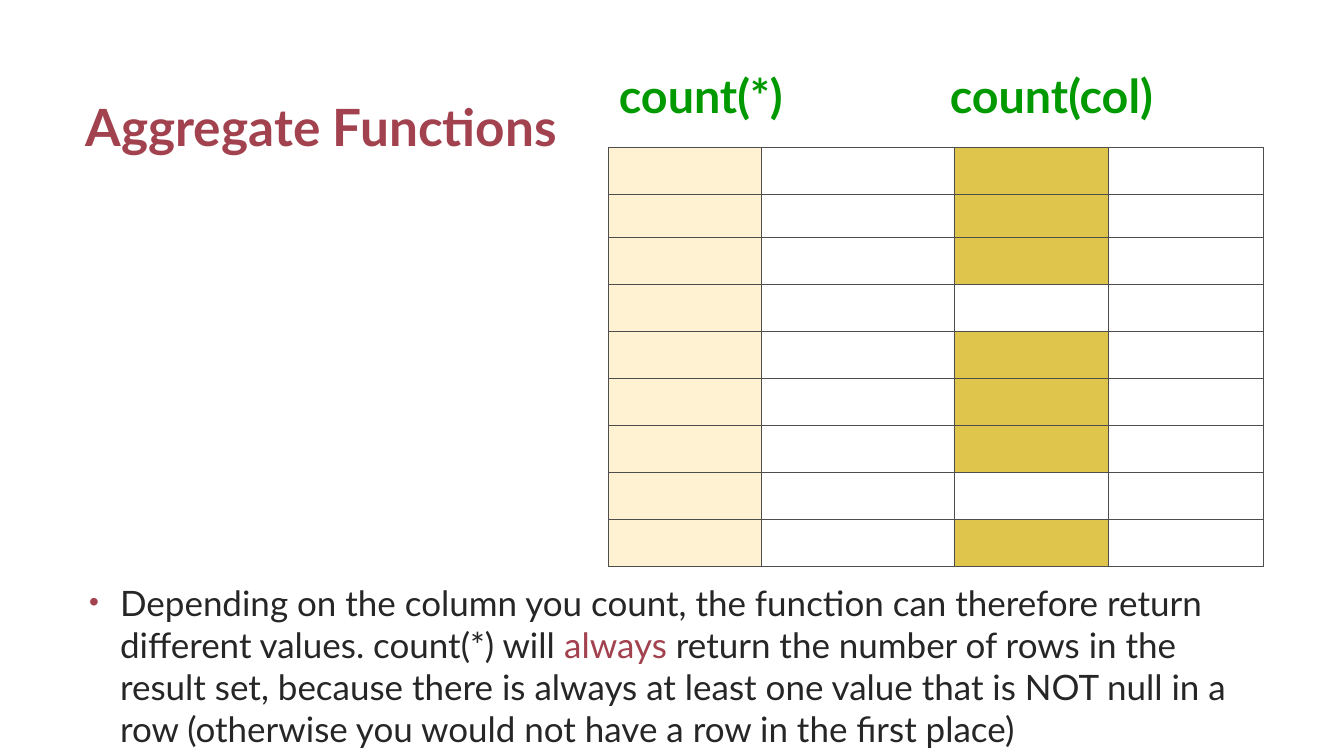
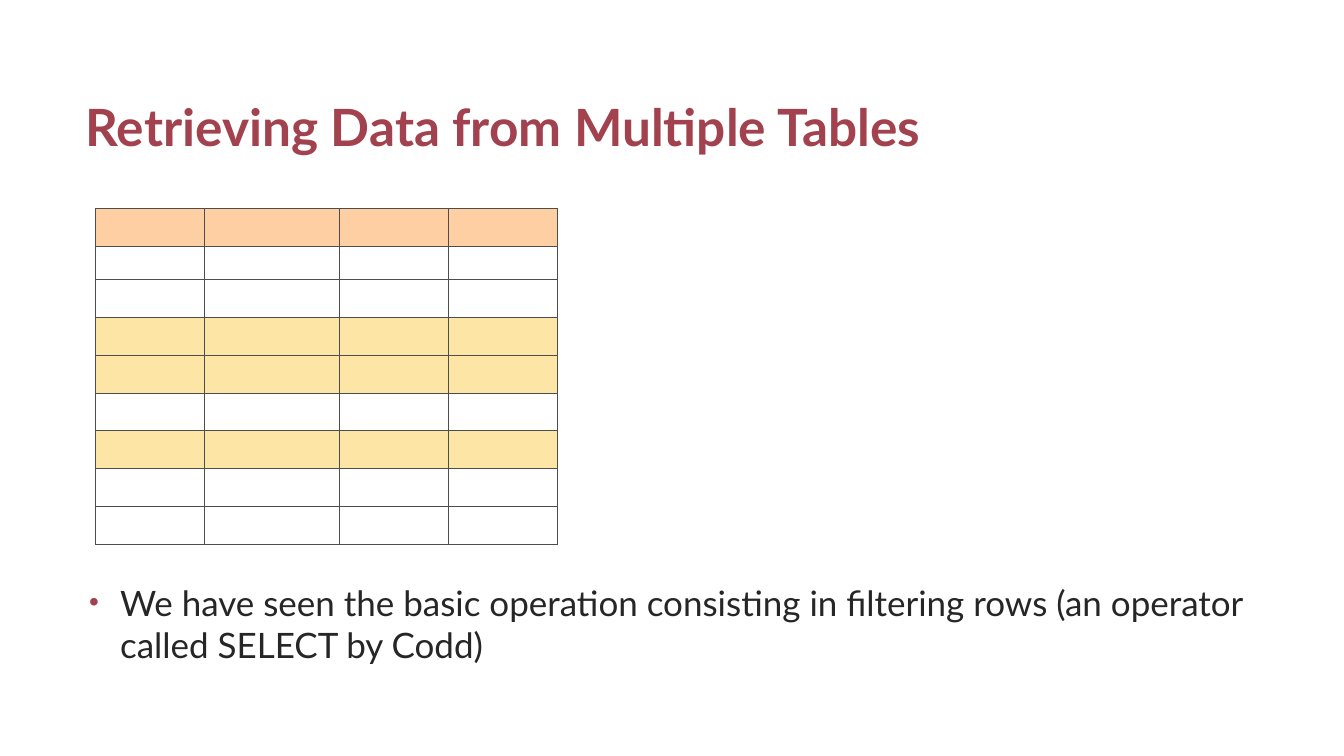
"""Build two slides on counting and filtering rows."""
from lxml.etree import SubElement as Sub
from pptx import Presentation as Pres
from pptx.dml.color import RGBColor as Rgb
from pptx.enum.text import MSO_ANCHOR as Anchor, MSO_AUTO_SIZE as Auto, PP_ALIGN as Align
from pptx.oxml.ns import qn
from pptx.util import Inches, Pt

HUES = {"red": "A2424F", "ink": "262626", "green": "009900", "line": "4D4D4D",
        "white": "FFFFFF", "cream": "FEF2D2", "gold": "E0C54C",
        "peach": "FDCFA2", "sand": "FDE6A5"}


def fit(item, **vals):
    """Set each named value on an item."""
    for name, val in vals.items():
        setattr(item, name, val)


def area(*nums):
    """Turn left, top, width and height into a dict of lengths."""
    return dict(zip(("left", "top", "width", "height"), map(Inches, nums)))


class Deck:
    """Hold the style and the current slide."""

    font = "Lato"
    looks = {"title": dict(size=Pt(44), bold=True),
             "label": dict(size=Pt(40), bold=True),
             "body": dict(size=Pt(30), bold=False)}

    def __init__(self):
        """Start a wide deck."""
        self.pres = Pres()
        fit(self.pres, slide_width=Inches(16), slide_height=Inches(9))
        self.slide = None

    def words(self, para, text, look, hue):
        """Add one styled run."""
        run = para.add_run()
        run.text = text
        fit(run.font, name=self.font, **self.looks[look])
        run.font.color.rgb = Rgb.from_string(HUES[hue])

    def box(self, *nums):
        """Add a wrapping text box and return its frame."""
        frame = self.slide.shapes.add_textbox(**area(*nums)).text_frame
        frame.word_wrap = True
        return frame

    def page(self, title):
        """Add a slide with its title."""
        self.slide = self.pres.slides.add_slide(self.pres.slide_layouts[5])
        head = self.slide.shapes.title
        fit(head, **area(0.92, 0.36, 14.17, 1.56))
        fit(head.text_frame, vertical_anchor=Anchor.BOTTOM, auto_size=Auto.NONE, word_wrap=True)
        para = head.text_frame.paragraphs[0]
        para.alignment = Align.LEFT
        self.words(para, title, "title", "red")

    def label(self, text, left, width):
        """Add a green label over a column."""
        frame = self.box(left, 0.75, width, 0.77)
        self.words(frame.paragraphs[0], text, "label", "green")

    def point(self, *parts):
        """Add the bullet point below the table."""
        frame = self.box(0.92, 6.85, 14.17, 2.14)
        fit(frame, margin_left=Inches(0.14), margin_right=Inches(0.14),
            margin_top=Inches(0.07), margin_bottom=Inches(0.07))
        para = frame.paragraphs[0]
        prop = para._p.get_or_add_pPr()
        prop.set("marL", str(Inches(0.37)))
        prop.set("indent", str(-Inches(0.37)))
        Sub(Sub(prop, qn("a:buClr")), qn("a:srgbClr"), val=HUES["red"])
        Sub(prop, qn("a:buSzPct"), val="80000")
        Sub(prop, qn("a:buFont"), typeface="Arial")
        Sub(prop, qn("a:buChar"), char="•")
        for text, hue in parts:
            self.words(para, text, "body", hue)

    def cell(self, cell, hue):
        """Fill and outline one cell."""
        fit(cell, margin_top=0, margin_bottom=0)
        prop = cell._tc.get_or_add_tcPr()
        for side in "LRTB":
            line = Sub(prop, qn(f"a:ln{side}"), w=str(Pt(1)))
            Sub(Sub(line, qn("a:solidFill")), qn("a:srgbClr"), val=HUES["line"])
        cell.fill.solid()
        cell.fill.fore_color.rgb = Rgb.from_string(HUES[hue])

    def grid(self, left, top, cols, rows, pick):
        """Add an empty table coloured by a rule."""
        shape = self.slide.shapes.add_table(
            len(rows), len(cols), **area(left, top, sum(cols), sum(rows)))
        table = shape.table
        for col, size in zip(table.columns, cols):
            col.width = Inches(size)
        for row, size in zip(table.rows, rows):
            row.height = Inches(size)
        for y in range(len(rows)):
            for x in range(len(cols)):
                self.cell(table.cell(y, x), pick(y, x))


def count_hue(row, col):
    """Colour the counted columns, leaving nulls white."""
    if col == 0:
        return "cream"
    return "gold" if col == 2 and row not in (3, 7) else "white"


def row_hue(row, col):
    """Colour the header and the selected rows."""
    if row == 0:
        return "peach"
    return "sand" if row in (3, 4, 6) else "white"


def main():
    """Build and save the deck."""
    deck = Deck()

    deck.page("Aggregate Functions")
    deck.label("count(*)", 7.27, 2.89)
    deck.label("count(col)", 11.21, 3.88)
    deck.grid(7.24, 1.76, [1.83, 2.29, 1.84, 1.84], [0.56, 0.51] + [0.56] * 7, count_hue)
    deck.point(
        ("Depending on the column you count, the function can therefore return "
         "different values. count(*) will ", "ink"),
        ("always", "red"),
        (" return the number of rows in the result set, because there is always at "
         "least one value that is NOT null in a row (otherwise you would not have a "
         "row in the first place)", "ink"))

    deck.page("Retrieving Data from Multiple Tables")
    deck.grid(1.14, 2.48, [1.29, 1.61, 1.3, 1.3], [0.45, 0.4] + [0.45] * 7, row_hue)
    deck.point(("We have seen the basic operation consisting in filtering rows "
                "(an operator called SELECT by Codd)", "ink"))

    deck.pres.save("out.pptx")


if __name__ == "__main__":
    main()
